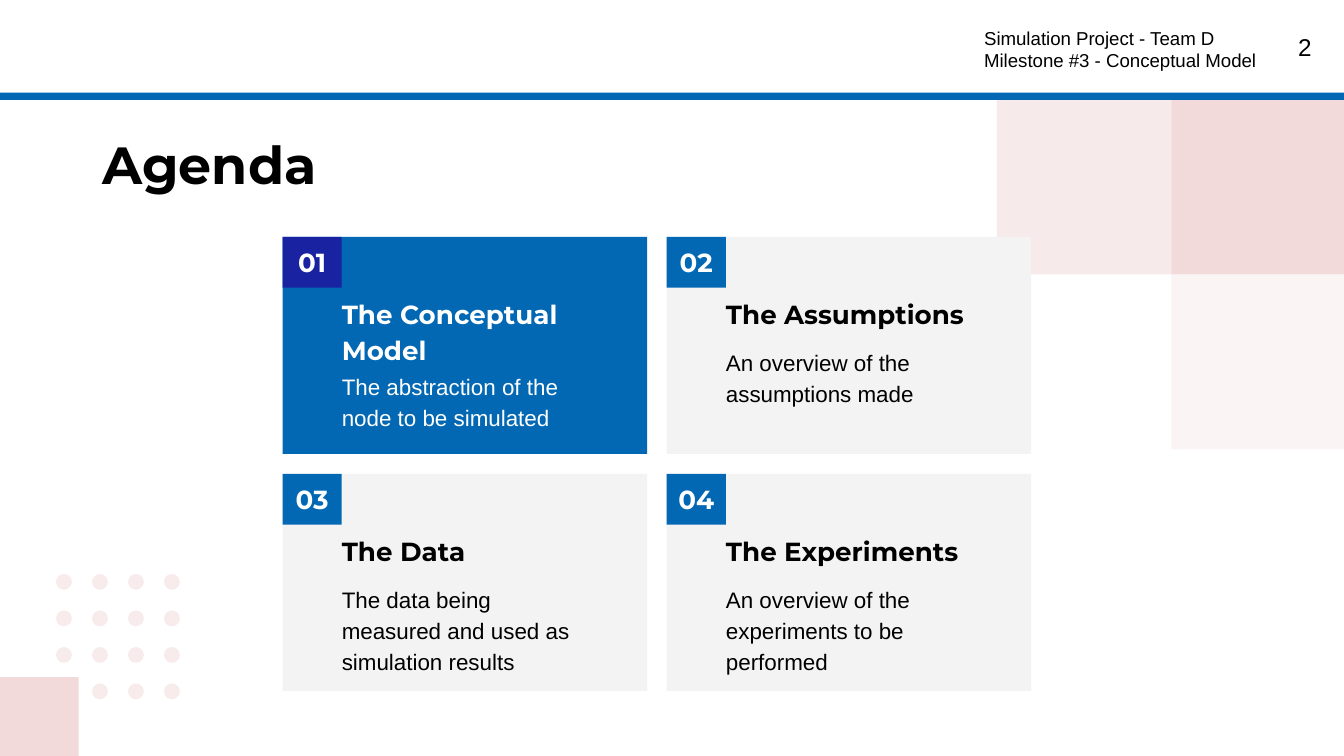
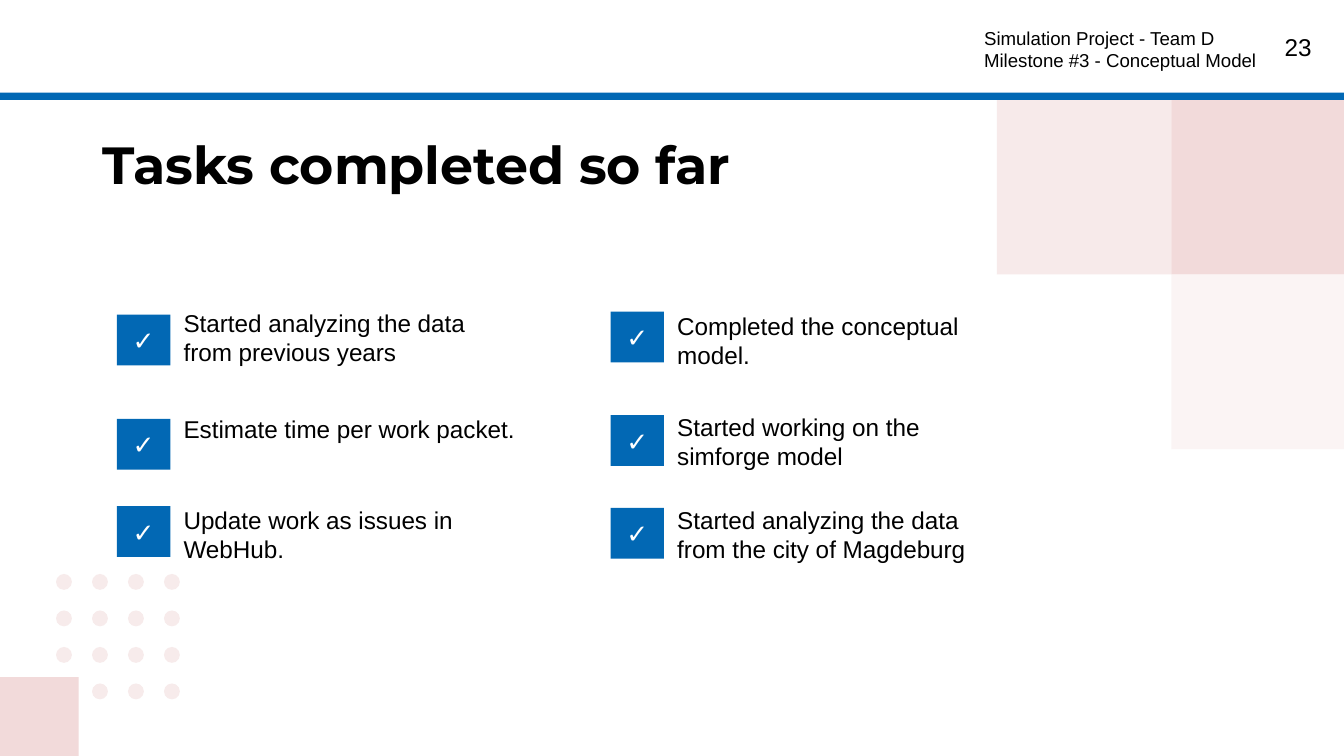
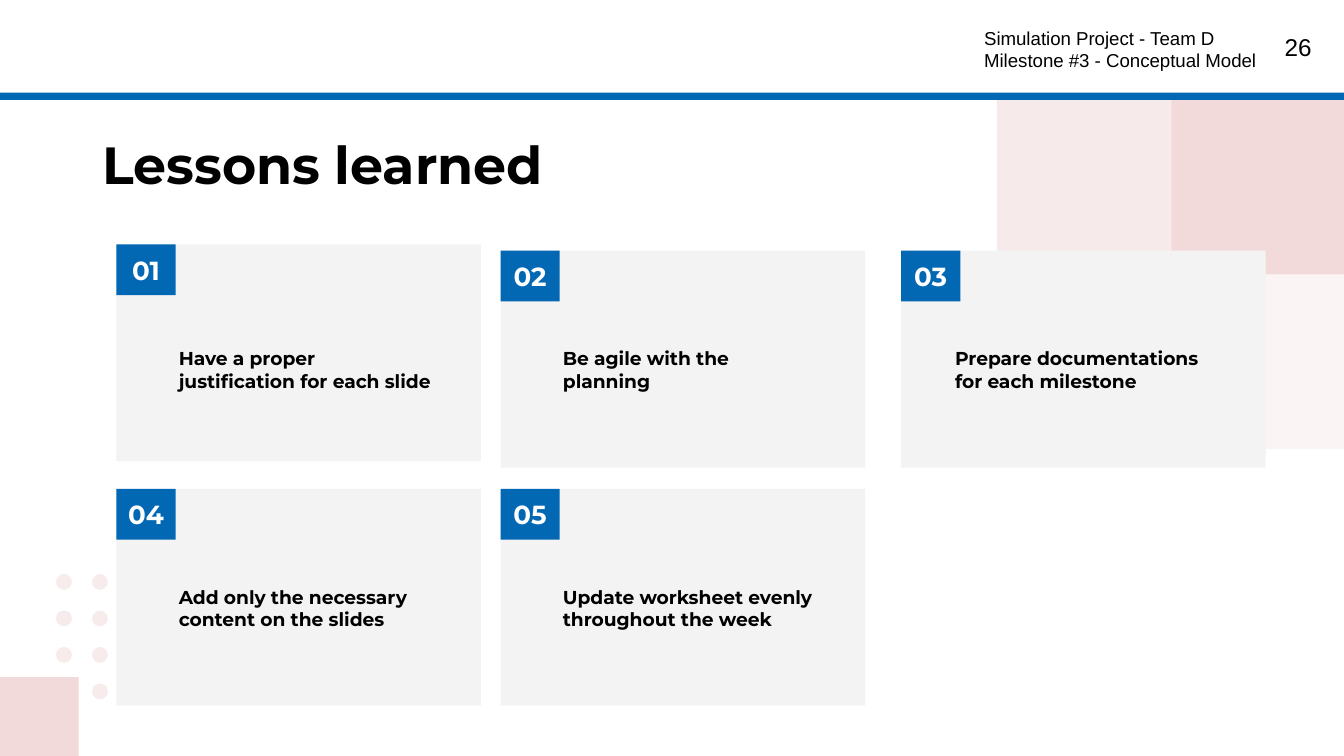
from dataclasses import dataclass
from itertools import product

from lxml.etree import SubElement
from pptx import Presentation
from pptx.dml.color import RGBColor
from pptx.enum.shapes import MSO_SHAPE, PP_PLACEHOLDER
from pptx.enum.text import MSO_ANCHOR, MSO_AUTO_SIZE, PP_ALIGN
from pptx.oxml.ns import qn
from pptx.util import Cm, Pt


@dataclass(frozen=True)
class Theme:
    """Colours, fonts, type sizes and the lengths (cm) that all slides share."""
    blue: str = "0268B4"
    indigo: str = "1922A1"
    grey: str = "F3F3F3"
    pink: str = "F2DADA"
    dot: str = "F7EBEB"
    white: str = "FFFFFF"
    black: str = "000000"
    display: str = "Montserrat"
    plain: str = "Arial"
    title: int = 28
    heading: int = 14
    item: int = 13
    body: int = 12
    small: int = 10
    width: float = 25.4
    height: float = 14.29
    inset: float = 0.25
    title_box: tuple = (1.69, 2.24, 21.44, 1.6)
    card_w: float = 6.89
    card_h: float = 4.1
    badge_w: float = 1.12
    badge_h: float = 0.96


T = Theme()


def lengths(box):
    """Turn a box in centimetres into slide lengths."""
    return [Cm(v) for v in box]


def place(sp, box):
    """Move and size a shape to a box."""
    sp.left, sp.top, sp.width, sp.height = lengths(box)


def format_text(sp, lines, size, color=T.black, font=T.plain, bold=False,
                align=PP_ALIGN.LEFT, anchor=MSO_ANCHOR.TOP, side=T.inset,
                spacing=None, after=None):
    """Write lines of text into a shape and format its paragraphs."""
    tf = sp.text_frame
    tf.text = "\n".join(lines)
    tf.word_wrap = True
    tf.auto_size = MSO_AUTO_SIZE.NONE
    tf.vertical_anchor = anchor
    tf.margin_left = tf.margin_right = Cm(side)
    tf.margin_top = tf.margin_bottom = Cm(T.inset)
    for p in tf.paragraphs:
        p.alignment = align
        p.line_spacing = spacing
        p.space_after = None if after is None else Pt(after)
        p.font.name = font
        p.font.size = Pt(size)
        p.font.bold = bold
        p.font.color.rgb = RGBColor.from_string(color)


def add_text(slide, box, *lines, **style):
    """Add a formatted text box."""
    format_text(slide.shapes.add_textbox(*lengths(box)), lines, **style)


def add_block(slide, box, color, alpha=None, kind=MSO_SHAPE.RECTANGLE):
    """Add a flat filled shape, see-through if alpha (percent) is given."""
    sp = slide.shapes.add_shape(kind, *lengths(box))
    sp.shadow.inherit = False
    sp.fill.solid()
    sp.fill.fore_color.rgb = RGBColor.from_string(color)
    sp.line.fill.background()
    if alpha is not None:
        clr = next(sp.element.iter(qn("a:srgbClr")))
        SubElement(clr, qn("a:alpha")).set("val", str(alpha * 1000))
    return sp


def add_badge(slide, box, label, color=T.blue):
    """Add a small filled box with a centred bold label."""
    format_text(add_block(slide, box, color), [label], T.heading, T.white,
                T.display, True, PP_ALIGN.CENTER, MSO_ANCHOR.MIDDLE, side=0)


def draw_dots(slide, x, y, columns, step_x=0.68, step_y=0.69, size=0.3):
    """Draw four rows of dots that lack the bottom left one."""
    for row, col in product(range(4), range(columns)):
        if (row, col) != (3, 0):
            add_block(slide, (x + col * step_x, y + row * step_y, size, size),
                      T.dot, kind=MSO_SHAPE.OVAL)


def draw_squares(slide, x, y, side=3.3):
    """Draw the three tinted squares that step down the right edge."""
    for col, row, alpha in [(1, 0, None), (1, 1, 28), (0, 0, 55)]:
        add_block(slide, (x + col * side, y + row * side, side, side),
                  T.pink, alpha)


def trim_template(prs, layout):
    """Keep one layout and fit its placeholders to the slide."""
    for other in list(prs.slide_layouts):
        if other.name != layout.name:
            prs.slide_layouts.remove(other)
    for sheet in (prs.slide_master, layout):
        for sp in list(sheet.placeholders):
            kind = sp.placeholder_format.type
            if kind == PP_PLACEHOLDER.TITLE:
                place(sp, T.title_box)
            elif kind == PP_PLACEHOLDER.BODY:
                place(sp, (1.69, 4.4, 21.44, 9))
            else:
                sheet.shapes.element.remove(sp.element)


def decorate_layout(slide, layout):
    """Draw the shared squares and bands and move them to the layout."""
    title = slide.shapes.title
    add_block(slide, (0, T.height - 1.49, 1.49, 1.49), T.pink)
    draw_squares(slide, 18.84, 1.89)
    add_block(slide, (0, 0, T.width, 1.75), T.white)
    add_block(slide, (0, 1.75, T.width, 0.14), T.blue)
    blocks = [sp for sp in slide.shapes if sp.shape_id != title.shape_id]
    for number, sp in enumerate(blocks, 100):
        sp.element.nvSpPr.cNvPr.set("id", str(number))
        layout.shapes.element.append(sp.element)


def draw_frame(slide, title, number, dot_columns=4):
    """Draw the dots, title, running head and page number."""
    draw_dots(slide, 1.06, 10.85, dot_columns)
    sp = slide.shapes.title
    place(sp, T.title_box)
    format_text(sp, [title], T.title, font=T.display, bold=True)
    add_text(slide, (18.35, 0.25, 5.92, 1.42), "Simulation Project - Team D",
             "Milestone #3 - Conceptual Model", size=T.small)
    add_text(slide, (23.52, 0.36, 1.52, 1.09), str(number), size=T.item,
             align=PP_ALIGN.RIGHT)


def draw_card(slide, x, y, label, fill=T.grey, badge=T.blue):
    """Draw a card with a numbered badge in its top left corner."""
    add_block(slide, (x, y, T.card_w, T.card_h), fill)
    add_badge(slide, (x, y, T.badge_w, T.badge_h), label, badge)


def draw_agenda(slide, x, y, topics):
    """Lay out topic cards in two columns and stress the first one."""
    for i, (heading, body, drop) in enumerate(topics):
        row, col = divmod(i, 2)
        left, top = x + col * 7.26, y + row * 4.48
        first = i == 0
        color = T.white if first else T.black
        draw_card(slide, left, top, f"{i + 1:02}",
                  T.blue if first else T.grey, T.indigo if first else T.blue)
        add_text(slide, (left + 0.87, top + 0.83, 5.16, 0.97), heading,
                 size=T.heading, color=color, font=T.display, bold=True,
                 spacing=1.15)
        add_text(slide, (left + 0.87, top + drop, 5.16, 0.97), body,
                 size=T.body, color=color, spacing=1.15)


def draw_checklist(slide, x, tasks):
    """Draw one column of ticked tasks."""
    for tick_y, text_y, width, task in tasks:
        add_text(slide, (x + 1.01, text_y, width, 1.6), task, size=T.item,
                 after=8)
        add_badge(slide, (x, tick_y, 1.01, T.badge_h), "\u2713")


def draw_lessons(slide, lessons):
    """Draw numbered cards, each with a bold statement."""
    for i, (x, y, text_x, text_y, lesson) in enumerate(lessons, 1):
        draw_card(slide, x, y, f"{i:02}")
        add_text(slide, (text_x, text_y, 5.36, 1.32), lesson, size=T.small,
                 font=T.display, bold=True, after=8)


def main():
    """Build the deck and save it."""
    prs = Presentation()
    prs.slide_width, prs.slide_height = lengths((T.width, T.height))
    layout = prs.slide_layouts.get_by_name("Title Only")
    trim_template(prs, layout)
    agenda, tasks, lessons = [prs.slides.add_slide(layout) for _ in range(3)]
    decorate_layout(agenda, layout)

    draw_frame(agenda, "Agenda", 2)
    draw_agenda(agenda, 5.34, 4.48, [
        ("The Conceptual Model",
         "The abstraction of the node to be simulated", 2.25),
        ("The Assumptions", "An overview of the assumptions made", 1.8),
        ("The Data",
         "The data being measured and used as simulation results", 1.8),
        ("The Experiments",
         "An overview of the experiments to be performed", 1.8),
    ])

    draw_frame(tasks, "Tasks completed so far", 23)
    draw_checklist(tasks, 2.21, [
        (5.95, 5.58, 6.17, "Started analyzing the data from previous years"),
        (7.92, 7.58, 6.88, "Estimate time per work packet."),
        (9.57, 9.3, 6.17, "Update work as issues in WebHub."),
    ])
    draw_checklist(tasks, 11.54, [
        (5.89, 5.63, 6.17, "Completed the conceptual model."),
        (7.85, 7.54, 6.17, "Started working on the simforge model"),
        (9.6, 9.3, 6.6,
         "Started analyzing the data from the city of Magdeburg"),
    ])

    draw_frame(lessons, "Lessons learned", 26, dot_columns=2)
    draw_lessons(lessons, [
        (2.2, 4.62, 3.13, 6.31, "Have a proper justification for each slide"),
        (9.46, 4.74, 10.39, 6.31, "Be agile with the planning"),
        (17.03, 4.74, 17.8, 6.31,
         "Prepare documentations for each milestone"),
        (2.2, 9.24, 3.13, 10.82,
         "Add only the necessary content on the slides"),
        (9.46, 9.24, 10.39, 10.82,
         "Update worksheet evenly throughout the week"),
    ])
    prs.save("out.pptx")


main()
